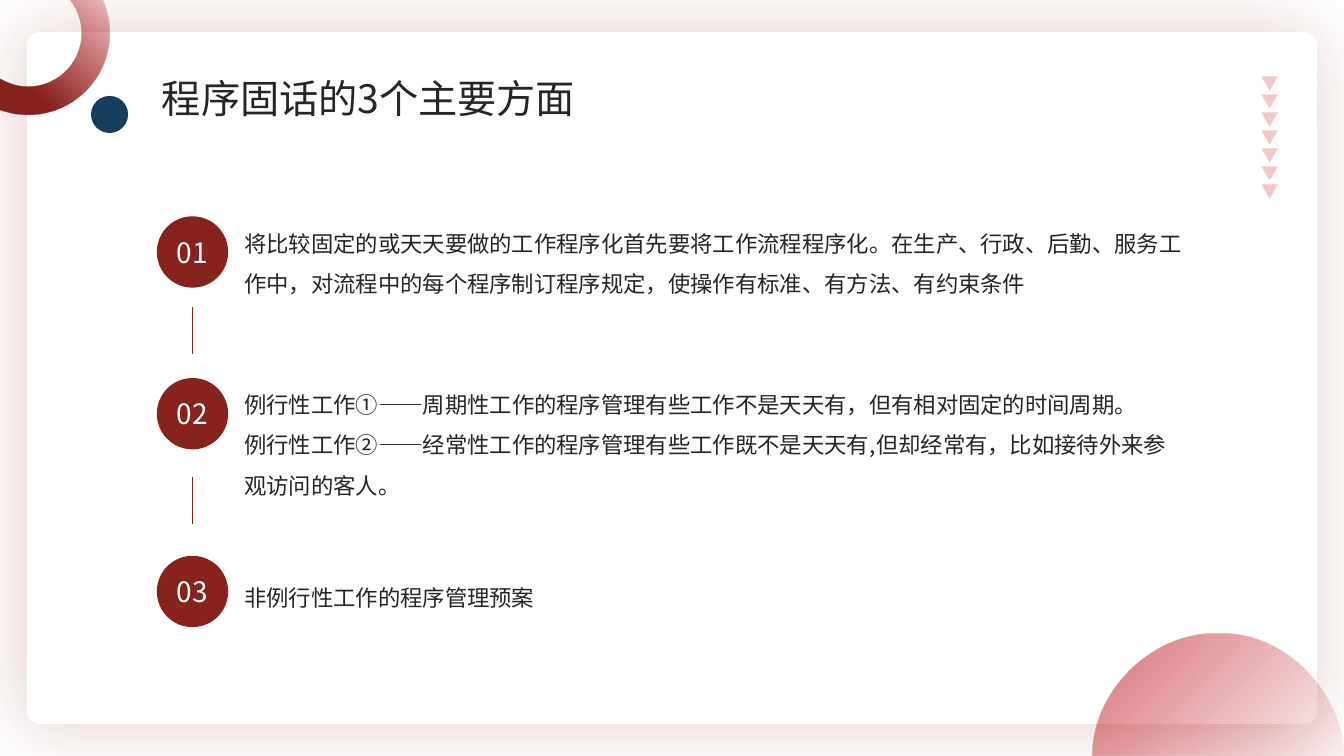
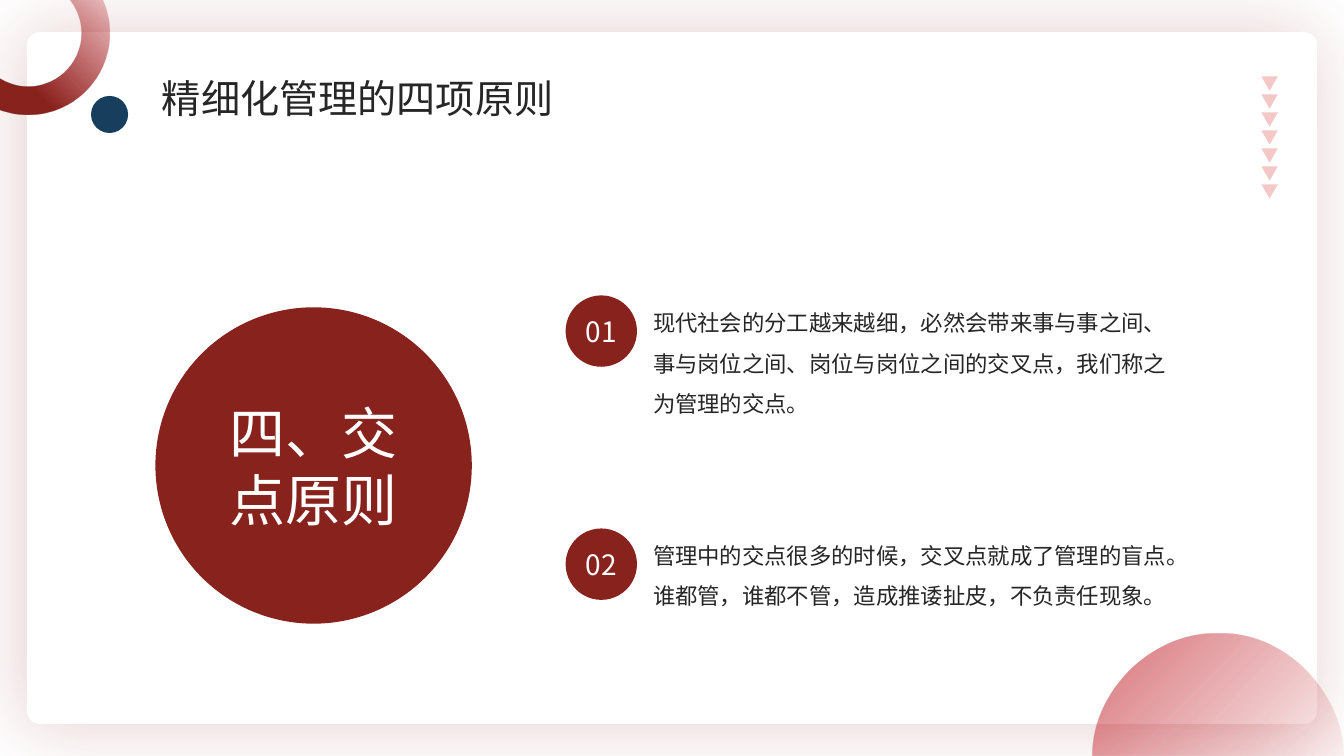
from lxml.etree import SubElement
from pptx import Presentation
from pptx.dml.color import RGBColor
from pptx.enum.shapes import MSO_CONNECTOR, MSO_SHAPE
from pptx.enum.text import MSO_ANCHOR, MSO_AUTO_SIZE, PP_ALIGN
from pptx.oxml.ns import qn
from pptx.util import Pt

FONT = "Noto Sans CJK SC"
COLORS = {"red": "88221D", "crimson": "B9000B", "navy": "173E5D",
          "pink": "F3C8C6", "white": "FFFFFF", "ink": "262626"}

# Content: badge top, text top, paragraphs
ASPECTS = {
    "title": "程序固话的3个主要方面",
    "left": 112, "text_width": 675,
    "items": [
        (154.5, 153.5, ["将比较固定的或天天要做的工作程序化首先要将工作流程程序化。在生产、行政、后勤、服务工作中，"
                        "对流程中的每个程序制订程序规定，使操作有标准、有方法、有约束条件"]),
        (270, 268.5, ["例行性工作①——周期性工作的程序管理有些工作不是天天有，但有相对固定的时间周期。",
                      "例行性工作②——经常性工作的程序管理有些工作既不是天天有,但却经常有，比如接待外来参观访问的客人。"]),
        (397, 406, ["非例行性工作的程序管理预案"]),
    ],
    "link_tops": [219, 340.5],
}
PRINCIPLES = {
    "title": "精细化管理的四项原则",
    "topic": "四、交点原则",
    "left": 404, "text_width": 372,
    "items": [
        (211, 210, ["现代社会的分工越来越细，必然会带来事与事之间、事与岗位之间、岗位与岗位之间的交叉点，"
                    "我们称之为管理的交点。"]),
        (377.5, 376, ["管理中的交点很多的时候，交叉点就成了管理的盲点。谁都管，谁都不管，造成推诿扯皮，不负责任现象。"]),
    ],
}

# Shared measures
BADGE = 51
TEXT_OFFSET = 61
LINK_HEIGHT = 34
TRIANGLES, TRIANGLE_PITCH = 7, 12.84
DOME_CURVES = [
    ((780.5, 540), (780.5, 491.8), (825.1, 451.4), (870.5, 452.9)),
    ((870.5, 452.9), (919.7, 451.4), (960, 496.8), (960, 540)),
]


def rgb(name):
    return RGBColor.from_string(COLORS[name])


def write(shape, paragraphs, size, color="ink", align=PP_ALIGN.LEFT,
          anchor=MSO_ANCHOR.TOP, inset=None, spacing=None):
    frame = shape.text_frame
    frame.word_wrap = True
    frame.auto_size = MSO_AUTO_SIZE.NONE
    frame.vertical_anchor = anchor
    if inset is not None:
        frame.margin_left = frame.margin_right = Pt(inset)
        frame.margin_top = frame.margin_bottom = Pt(inset)
    for index, text in enumerate(paragraphs):
        para = frame.add_paragraph() if index else frame.paragraphs[0]
        para.alignment = align
        if spacing:
            para.line_spacing = spacing
        span = para.add_run()
        span.text = text
        span.font.name = FONT
        span.font.size = Pt(size)
        span.font.color.rgb = rgb(color)
        SubElement(span.font._element, qn("a:ea"), typeface=FONT)


def add_preset(page, kind, left, top, width, height, color="red"):
    shape = page.shapes.add_shape(kind, Pt(left), Pt(top), Pt(width), Pt(height))
    shape.shadow.inherit = False
    shape.fill.solid()
    shape.fill.fore_color.rgb = rgb(color)
    shape.line.fill.background()
    return shape


def fade(shape, angle, stops):
    """Fill with a gradient; each stop is (position, color, opacity in percent)."""
    shape.fill.gradient()
    shape.fill.gradient_angle = angle
    for stop, (position, color, _) in zip(shape.fill.gradient_stops, stops):
        stop.position = position
        stop.color.rgb = rgb(color)
    for node, (_, _, opacity) in zip(shape.element.iter(qn("a:srgbClr")), stops):
        SubElement(node, qn("a:alpha"), val=str(opacity * 1000))


def curve_points(curve, steps=30):
    for step in range(1, steps + 1):
        t = step / steps
        weights = ((1 - t) ** 3, 3 * t * (1 - t) ** 2, 3 * t * t * (1 - t), t ** 3)
        yield tuple(Pt(sum(w * point[axis] for w, point in zip(weights, curve)))
                    for axis in (0, 1))


def draw_backdrop(page):
    # White panel with a soft red glow
    panel = add_preset(page, MSO_SHAPE.ROUNDED_RECTANGLE, 20, 23.7, 920, 492.6, "white")
    panel.adjustments[0] = 0.017
    panel.line.color.rgb = rgb("white")
    panel.line.width = Pt(1.5)
    effects = panel.element.spPr.find(qn("a:effectLst"))
    glow = SubElement(effects, qn("a:outerShdw"), blurRad=str(Pt(54)), dist=str(Pt(3)),
                      dir="10800000", algn="ctr", rotWithShape="0")
    tint = SubElement(glow, qn("a:srgbClr"), val=COLORS["red"])
    SubElement(tint, qn("a:alpha"), val="22000")

    # Corner ring and dot
    ring = add_preset(page, MSO_SHAPE.DONUT, -38, -34.4, 116, 116)
    ring.adjustments[0] = 0.175
    fade(ring, 45, [(0.34, "red", 100), (1, "crimson", 0)])
    add_preset(page, MSO_SHAPE.OVAL, 65, 68.5, 26.5, 26.5, "navy")

    # Corner dome
    start_x, start_y = DOME_CURVES[0][0]
    builder = page.shapes.build_freeform(Pt(start_x), Pt(start_y))
    for curve in DOME_CURVES:
        builder.add_line_segments(list(curve_points(curve)), close=False)
    builder.add_line_segments([], close=True)
    dome = builder.convert_to_shape()
    dome.shadow.inherit = False
    dome.line.fill.background()
    fade(dome, 315, [(0.02, "crimson", 54), (1, "crimson", 5)])

    # Column of small triangles
    for index in range(TRIANGLES):
        add_preset(page, MSO_SHAPE.FLOWCHART_MERGE, 901, 54.6 + index * TRIANGLE_PITCH,
                   11.8, 10.2, "pink")


def prepare_layout(deck):
    """Place the title and move the backdrop onto the layout; return the layout and first page."""
    layout = deck.slide_layouts.get_by_name("Title Only")
    for holder in list(layout.placeholders):
        if holder.placeholder_format.idx:
            holder.element.getparent().remove(holder.element)
        else:
            holder.left, holder.top = Pt(108.5), Pt(49.7)
            holder.width, holder.height = Pt(450), Pt(41)
    page = deck.slides.add_slide(layout)
    draw_backdrop(page)
    for shape in list(page.shapes):
        if not shape.is_placeholder:
            layout.shapes.element.append(shape.element)
    return layout, page


def draw_items(page, content):
    write(page.shapes.title, [content["title"]], 28)
    left = content["left"]
    for number, (badge_top, text_top, paragraphs) in enumerate(content["items"], 1):
        badge = add_preset(page, MSO_SHAPE.OVAL, left, badge_top, BADGE, BADGE)
        write(badge, [f"{number:02}"], 20, color="white", align=PP_ALIGN.CENTER,
              anchor=MSO_ANCHOR.MIDDLE, inset=0)
        box = page.shapes.add_textbox(Pt(left + TEXT_OFFSET), Pt(text_top),
                                      Pt(content["text_width"]), Pt(39))
        write(box, paragraphs, 16, inset=1.44, spacing=1.5)


def draw_links(page, content):
    x = Pt(content["left"] + BADGE / 2)
    for top in content["link_tops"]:
        link = page.shapes.add_connector(MSO_CONNECTOR.STRAIGHT, x, Pt(top),
                                         x, Pt(top + LINK_HEIGHT))
        link.line.color.rgb = rgb("red")
        link.line.width = Pt(0.5)
        SubElement(link.element.spPr, qn("a:effectLst"))


def draw_topic(page, content):
    circle = add_preset(page, MSO_SHAPE.OVAL, 111, 219.5, 226, 226)
    write(circle, [content["topic"]], 40, color="white", align=PP_ALIGN.CENTER,
          anchor=MSO_ANCHOR.MIDDLE)


def main():
    deck = Presentation()
    deck.slide_width, deck.slide_height = Pt(960), Pt(540)
    layout, aspects_page = prepare_layout(deck)
    draw_items(aspects_page, ASPECTS)
    draw_links(aspects_page, ASPECTS)

    principles_page = deck.slides.add_slide(layout)
    draw_topic(principles_page, PRINCIPLES)
    draw_items(principles_page, PRINCIPLES)
    deck.save("out.pptx")


if __name__ == "__main__":
    main()
